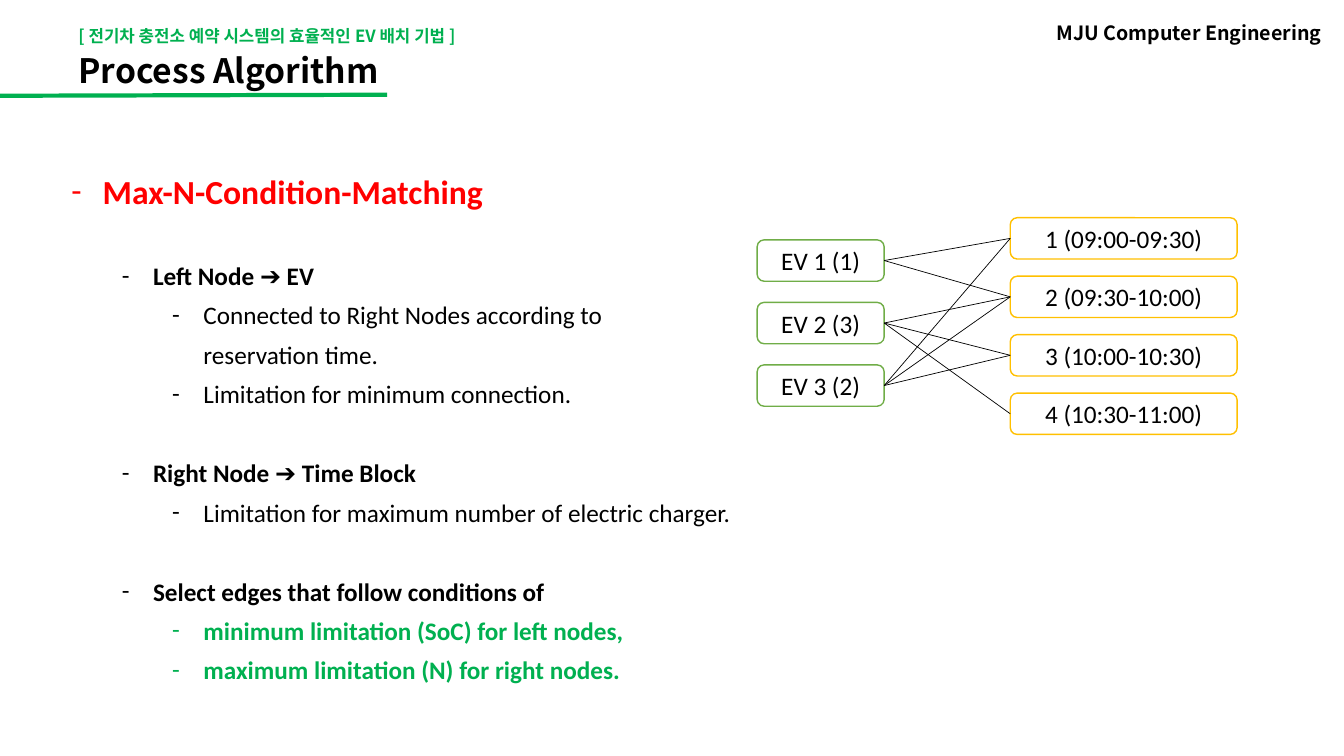
from lxml import etree
from pptx import Presentation
from pptx.dml.color import RGBColor
from pptx.enum.shapes import MSO_CONNECTOR, MSO_SHAPE
from pptx.enum.text import MSO_ANCHOR, PP_ALIGN
from pptx.oxml.ns import qn
from pptx.util import Inches, Pt

ROUNDED = MSO_SHAPE.ROUNDED_RECTANGLE
STRAIGHT = MSO_CONNECTOR.STRAIGHT
TOP, MIDDLE, BOTTOM = MSO_ANCHOR.TOP, MSO_ANCHOR.MIDDLE, MSO_ANCHOR.BOTTOM
LEFT, CENTER, RIGHT = PP_ALIGN.LEFT, PP_ALIGN.CENTER, PP_ALIGN.RIGHT
RIGHT_SIDE, LEFT_SIDE = 3, 1

BLACK, WHITE, RED, GREEN = "000000", "FFFFFF", "FF0000", "00B050"
EV_GREEN, BLOCK_YELLOW = "70AD47", "FFC000"
BODY_FONT, HEADER_FONT = "Calibri", "Noto Sans CJK KR"

PROJECT = "[ 전기차 충전소 예약 시스템의 효율적인 EV 배치 기법 ]"
TITLE = "Process Algorithm"
DEPARTMENT = "MJU Computer Engineering"

# level, text, size, colour, bold, starts a new group
OUTLINE = [
    (0, "Max-N-Condition-Matching", 24, RED, True, False),
    (1, "Left Node ➔ EV", 18, BLACK, True, True),
    (2, "Connected to Right Nodes according to \vreservation time.", 18, BLACK, False, False),
    (2, "Limitation for minimum connection.", 18, BLACK, False, False),
    (1, "Right Node ➔ Time Block", 18, BLACK, True, True),
    (2, "Limitation for maximum number of electric charger.", 18, BLACK, False, False),
    (1, "Select edges that follow conditions of", 18, BLACK, True, True),
    (2, "minimum limitation (SoC) for left nodes,", 18, GREEN, True, False),
    (2, "maximum limitation (N) for right nodes.", 18, GREEN, True, False),
]
GROUP_GAP = 28.5
HANGING, LEVEL_STEP = 0.31, 0.5

EVS = ["EV 1 (1)", "EV 2 (3)", "EV 3 (2)"]
TIME_BLOCKS = ["1 (09:00-09:30)", "2 (09:30-10:00)", "3 (10:00-10:30)", "4 (10:30-11:00)"]
RESERVATIONS = {0: [0, 1], 1: [1, 2, 3], 2: [0, 1, 2]}
NODE_HEIGHT = 0.41


def color(hex_value):
    return RGBColor.from_string(hex_value)


def write(paragraph, text, size, font, hex_value, bold=False, **layout):
    paragraph.text = text
    for run in paragraph.runs:
        for name, value in {"size": Pt(size), "name": font, "bold": bold}.items():
            setattr(run.font, name, value)
        run.font.color.rgb = color(hex_value)
        east_asian = etree.SubElement(run.font._element, qn("a:ea"))
        east_asian.set("typeface", font)
    for name, value in layout.items():
        setattr(paragraph, name, value)


def add_text_frame(slide, left, top, width, height, anchor):
    box = slide.shapes.add_textbox(Inches(left), Inches(top), Inches(width), Inches(height))
    box.text_frame.word_wrap = True
    box.text_frame.vertical_anchor = anchor
    return box.text_frame


def add_dash(paragraph, level):
    properties = paragraph._p.get_or_add_pPr()
    properties.set("marL", str(Inches(HANGING + LEVEL_STEP * level)))
    properties.set("indent", str(-Inches(HANGING)))
    etree.SubElement(properties, qn("a:buFont")).set("typeface", BODY_FONT)
    etree.SubElement(properties, qn("a:buChar")).set("char", "-")


def add_line(slide, start, end, hex_value, width):
    line = slide.shapes.add_connector(STRAIGHT, *(Inches(value) for value in start + end))
    line.line.color.rgb = color(hex_value)
    line.line.width = Pt(width)
    etree.SubElement(line._element.spPr, qn("a:effectLst"))
    return line


def add_nodes(slide, labels, left, top, width, pitch, outline):
    """Stack one rounded box per label and return the boxes."""
    nodes = []
    for row, label in enumerate(labels):
        node = slide.shapes.add_shape(ROUNDED, Inches(left), Inches(top + row * pitch),
                                      Inches(width), Inches(NODE_HEIGHT))
        node.shadow.inherit = False
        node.fill.solid()
        node.fill.fore_color.rgb = color(WHITE)
        node.line.color.rgb = color(outline)
        node.line.width = Pt(1)
        node.text_frame.vertical_anchor = MIDDLE
        write(node.text_frame.paragraphs[0], label, 18, BODY_FONT, BLACK, alignment=CENTER)
        nodes.append(node)
    return nodes


def main():
    deck = Presentation()
    deck.slide_width, deck.slide_height = Inches(13.33), Inches(7.5)
    slide = deck.slides.add_slide(deck.slide_layouts[6])

    outline = add_text_frame(slide, 0.61, 1.53, 12.01, 5.58, TOP)
    for index, (level, text, size, hue, bold, new_group) in enumerate(OUTLINE):
        paragraph = outline.add_paragraph() if index else outline.paragraphs[0]
        write(paragraph, text, size, BODY_FONT, hue, bold, alignment=LEFT, level=level,
              line_spacing=1.3, space_before=Pt(GROUP_GAP if new_group else 0))
        add_dash(paragraph, level)

    add_line(slide, (0, 0.95), (3.84, 0.94), GREEN, 3)
    header = add_text_frame(slide, 0.68, 0.08, 11.93, 0.86, BOTTOM)
    write(header.paragraphs[0], PROJECT, 12, HEADER_FONT, GREEN, True)
    write(header.add_paragraph(), TITLE, 24, HEADER_FONT, BLACK, True, line_spacing=1.1)
    department = add_text_frame(slide, 10.15, 0.15, 3.06, NODE_HEIGHT, MIDDLE)
    write(department.paragraphs[0], DEPARTMENT, 14, HEADER_FONT, BLACK, True,
          alignment=RIGHT, line_spacing=0.7, space_before=Pt(10))

    evs = add_nodes(slide, EVS, 7.51, 2.38, 1.26, 0.62, EV_GREEN)
    blocks = add_nodes(slide, TIME_BLOCKS, 10.02, 2.16, 2.25, 0.58, BLOCK_YELLOW)
    for ev, reserved in RESERVATIONS.items():
        for block in reserved:
            edge = add_line(slide, (0, 0), (0, 0), BLACK, 0.5)
            edge.begin_connect(evs[ev], RIGHT_SIDE)
            edge.end_connect(blocks[block], LEFT_SIDE)

    deck.save("out.pptx")


if __name__ == "__main__":
    main()
